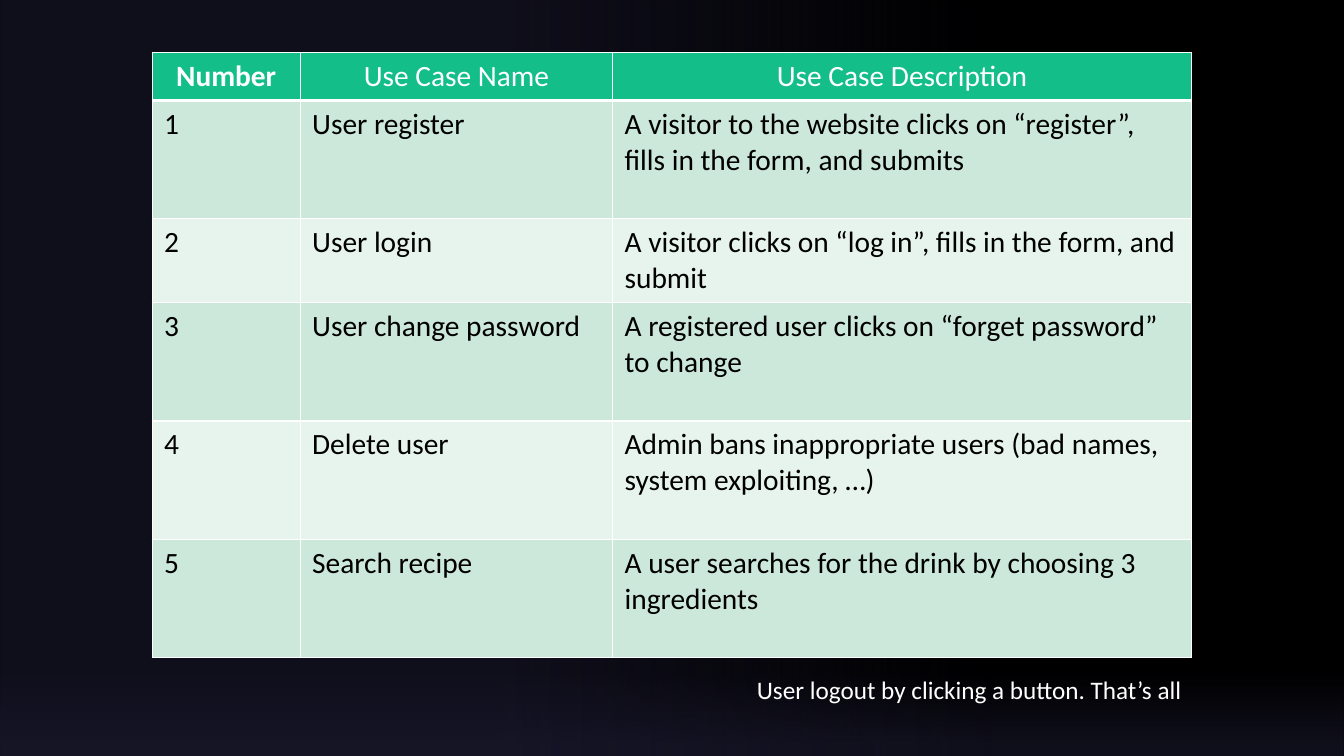
import pptx
import pptx.dml.color
import pptx.enum.shapes
import pptx.enum.text
import pptx.oxml
import pptx.oxml.ns
import pptx.util
from lxml import etree

Pt = pptx.util.Pt
RGB = pptx.dml.color.RGBColor.from_string
ALIGN = pptx.enum.text.PP_ALIGN
qn = pptx.oxml.ns.qn

COLORS = {
    "background": "000000",
    "glow": "1B192E",
    "header": "13BE89",
    "odd": "CCE8DA",
    "even": "E7F4ED",
    "white": "FFFFFF",
    "black": "000000",
}
FONT = "Calibri"

presentation = pptx.Presentation()
presentation.slide_width = Pt(960)
presentation.slide_height = Pt(540)
slide = presentation.slides.add_slide(presentation.slide_layouts[6])
slide.background.fill.solid()
slide.background.fill.fore_color.rgb = RGB(COLORS["background"])


def format_paragraph(paragraph, size, color, alignment, bold=False):
    paragraph.alignment = alignment
    for run in paragraph.runs:
        run.font.name = FONT
        run.font.size = Pt(size)
        run.font.bold = bold
        run.font.color.rgb = RGB(COLORS[color])


def add_border(cell, side, width, position):
    border = pptx.oxml.parse_xml(
        f'<a:{side} xmlns:a="http://schemas.openxmlformats.org/drawingml/2006/main" w="{Pt(width)}">'
        f'<a:solidFill><a:srgbClr val="{COLORS["white"]}"/></a:solidFill></a:{side}>')
    cell._tc.get_or_add_tcPr().insert(position, border)


# Background glows: left, top, width, height, rotation, gradient angle, stops
glows = [
    (0, 454.4, 960, 85.6, 0, 270, (0.28, 0.9)),
    (0, 0, 708.5, 540, 180, 0, (0, 0.5)),
]
for left, top, width, height, rotation, angle, positions in glows:
    glow = slide.shapes.add_shape(pptx.enum.shapes.MSO_SHAPE.RECTANGLE,
                                  Pt(left), Pt(top), Pt(width), Pt(height))
    glow.rotation = rotation
    glow.shadow.inherit = False
    glow.line.fill.background()
    glow.fill.gradient()
    glow.fill.gradient_angle = angle
    for stop, position in zip(glow.fill.gradient_stops, positions):
        stop.position = position
        stop.color.rgb = RGB(COLORS["glow"])
    for color, opacity in zip(glow._element.spPr.iter(qn("a:srgbClr")), (0, 60)):
        etree.SubElement(color, qn("a:alpha"), val=str(opacity * 1000))

# Use case table
rows = [
    ("Number", "Use Case Name", "Use Case Description"),
    ("1", "User register",
     "A visitor to the website clicks on “register”, fills in the form, and submits"),
    ("2", "User login", "A visitor clicks on “log in”, fills in the form, and submit"),
    ("3", "User change password", "A registered user clicks on “forget password” to change"),
    ("4", "Delete user", "Admin bans inappropriate users (bad names, system exploiting, …)"),
    ("5", "Search recipe", "A user searches for the drink by choosing 3 ingredients"),
]
column_widths = [105.8, 223.2, 413.3]
row_heights = [34.3, 84.6, 59.8, 84.6, 84.6, 84.6]
table = slide.shapes.add_table(len(rows), len(column_widths), Pt(108.7), Pt(37.4),
                               Pt(sum(column_widths)), Pt(sum(row_heights))).table
for column, width in zip(table.columns, column_widths):
    column.width = Pt(width)
for row_index, (texts, height) in enumerate(zip(rows, row_heights)):
    table.rows[row_index].height = Pt(height)
    is_header = row_index == 0
    fill = "header" if is_header else "odd" if row_index % 2 else "even"
    for column_index, text in enumerate(texts):
        cell = table.cell(row_index, column_index)
        cell.margin_left = cell.margin_right = Pt(8.5)
        cell.margin_top = cell.margin_bottom = Pt(4.25)
        cell.fill.solid()
        cell.fill.fore_color.rgb = RGB(COLORS[fill])
        cell.text_frame.text = text
        format_paragraph(cell.text_frame.paragraphs[0], 21,
                         "white" if is_header else "black",
                         ALIGN.CENTER if is_header else ALIGN.LEFT,
                         bold=is_header and column_index == 0)
        top_width = 3 if row_index == 1 else 1
        bottom_width = 3 if is_header else 1
        borders = [("lnL", 1), ("lnR", 1), ("lnT", top_width), ("lnB", bottom_width)]
        for position, (side, width) in enumerate(borders):
            add_border(cell, side, width, position)

# Closing remark
remark = slide.shapes.add_textbox(Pt(380.2), Pt(478.1), Pt(470.9), Pt(28.8))
remark.text_frame.word_wrap = True
remark.text_frame.auto_size = pptx.enum.text.MSO_AUTO_SIZE.SHAPE_TO_FIT_TEXT
remark.text_frame.text = "User logout by clicking a button. That’s all"
format_paragraph(remark.text_frame.paragraphs[0], 18, "white", ALIGN.RIGHT)

presentation.save("out.pptx")
